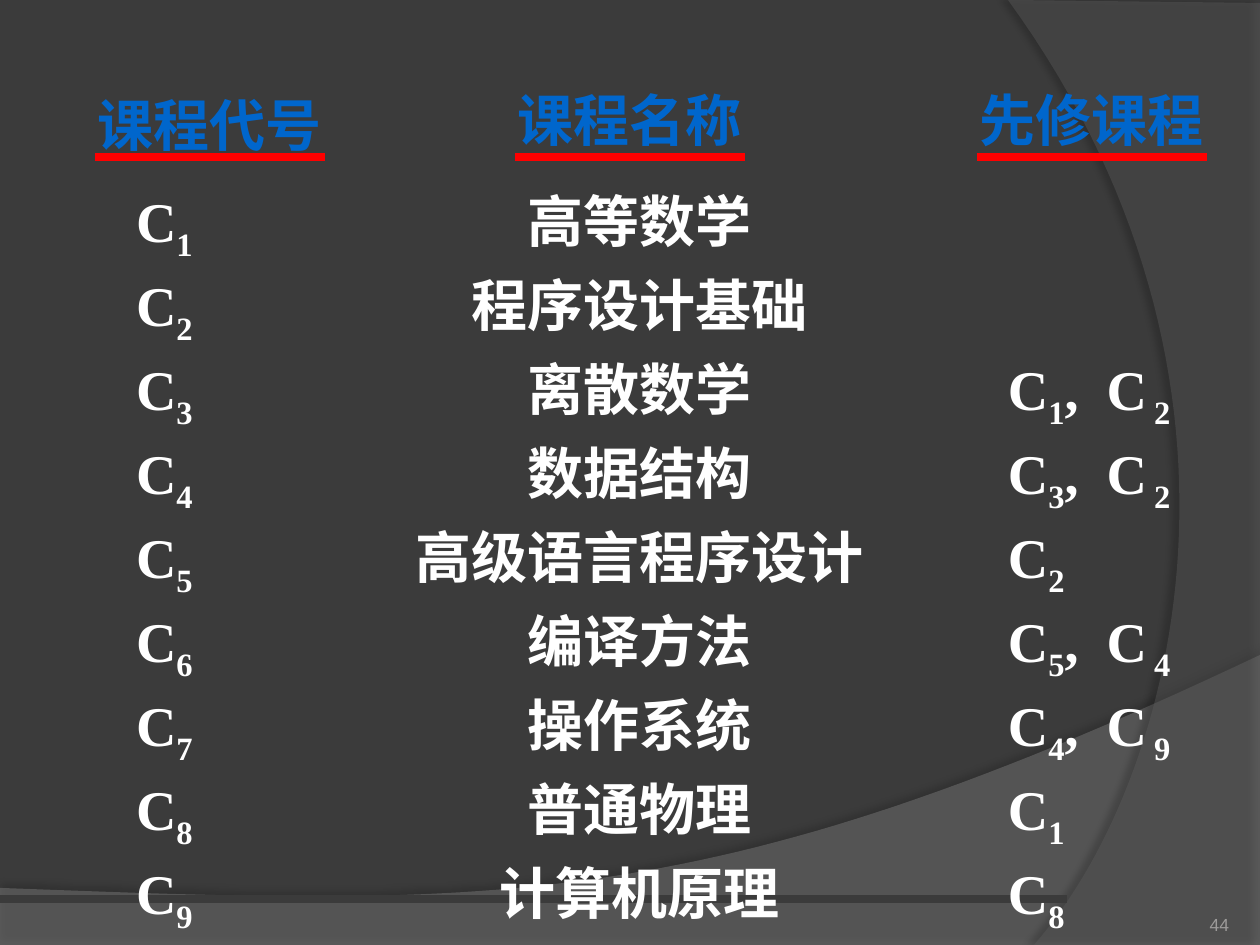
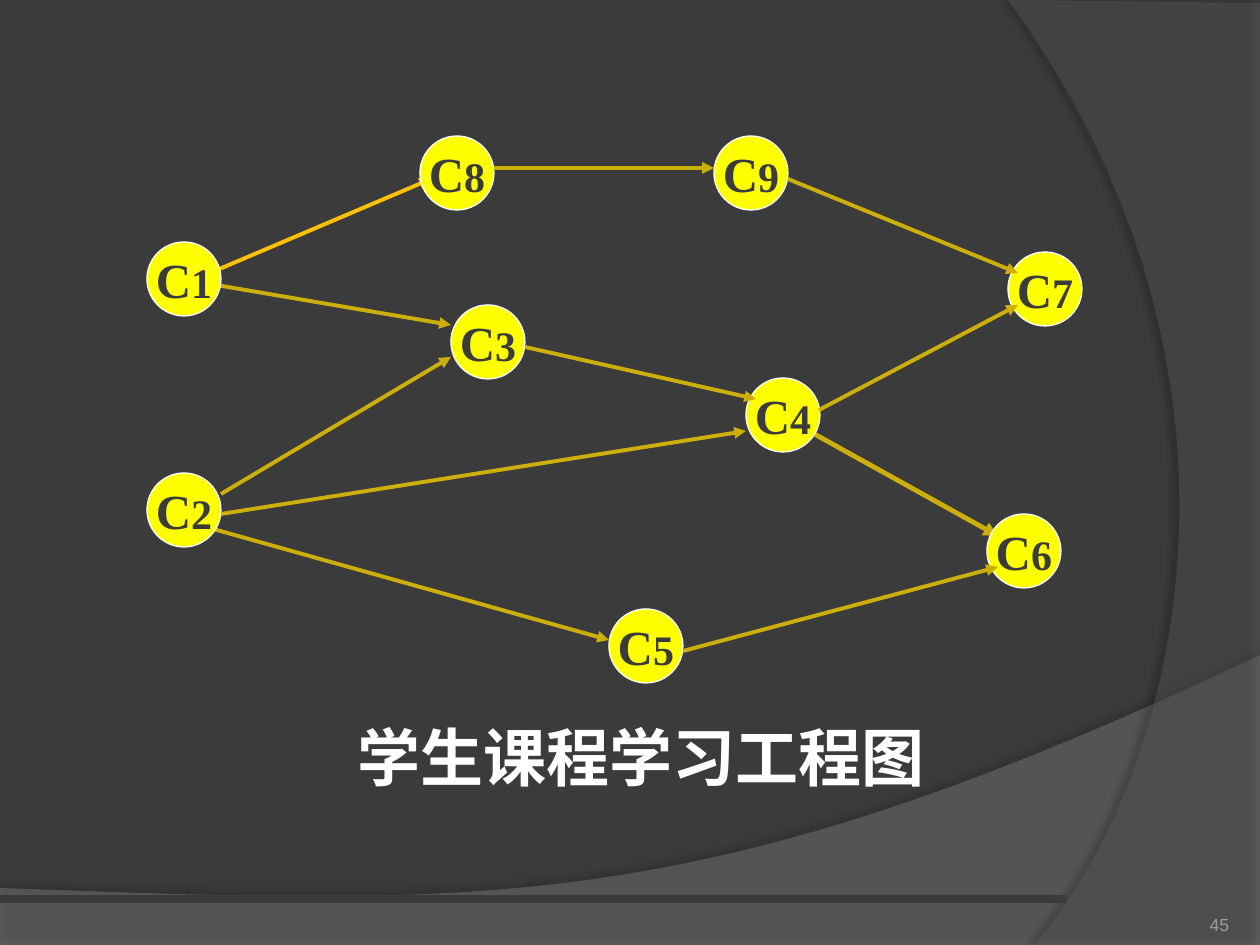
from itertools import groupby

from lxml import etree
from pptx import Presentation, util as u
from pptx.dml.color import RGBColor
from pptx.enum import shapes, text
from pptx.oxml.ns import qn

PX = 7257
SERIF, SANS, CJK = "Times New Roman", "Arial", "Noto Sans CJK SC"
DARK, WHITE, YELLOW = "3B3B3B", "FFFFFF", "FFFF00"
BLUE, RED, GREY = "0066CC", "FF0000", "9D9B9A"
GOLD, AMBER = "CCAF0A", "FFC000"
LEFT, CENTER, RIGHT = text.PP_ALIGN.LEFT, text.PP_ALIGN.CENTER, text.PP_ALIGN.RIGHT
TOP, MIDDLE, BOTTOM = text.MSO_ANCHOR.TOP, text.MSO_ANCHOR.MIDDLE, text.MSO_ANCHOR.BOTTOM
NO_TABLE_STYLE = "{2D5ABB26-0587-4C30-8999-92F81FD0307C}"
rgb = RGBColor.from_string


def write(frame, words, size=32, color=WHITE, font=SERIF, bold=True, align=LEFT,
          anchor=TOP, wrap=False, spacing=None, digit_size=None, subscript=False):
    frame.margin_left = frame.margin_right = frame.margin_top = frame.margin_bottom = 0
    frame.auto_size = text.MSO_AUTO_SIZE.NONE
    frame.word_wrap = wrap
    frame.vertical_anchor = anchor
    para = frame.paragraphs[0]
    para.alignment = align
    if spacing:
        para.line_spacing = u.Pt(spacing)
    for is_digit, letters in groupby(words, str.isdigit):
        span = para.add_run()
        span.text = "".join(letters)
        span.font.size = u.Pt(digit_size if is_digit and digit_size else size)
        span.font.bold = bold
        span.font.color.rgb = rgb(color)
        span.font.name = font
        props = span.font._element if hasattr(span.font, "_element") else span._r.get_or_add_rPr()
        etree.SubElement(props, qn("a:ea")).set("typeface", CJK)
        if subscript and is_digit:
            props.set("baseline", "-25000")
        if "," in span.text:
            props.set("spc", "400")


def draw_line(page, ends, color, width, arrow=False):
    line = page.shapes.add_connector(shapes.MSO_CONNECTOR.STRAIGHT, *(v * PX for v in ends))
    line.line.color.rgb = rgb(color)
    line.line.width = u.Pt(width)
    props = line.element.spPr
    if arrow:
        etree.SubElement(props.find(qn("a:ln")), qn("a:tailEnd")).set("type", "triangle")
    etree.SubElement(props, qn("a:effectLst"))
    return line


deck = Presentation()
deck.slide_width, deck.slide_height = 1260 * PX, 945 * PX
master = deck.slide_master
master.background.fill.solid()
master.background.fill.fore_color.rgb = rgb(DARK)
table_page = deck.slides.add_slide(deck.slide_layouts[6])
graph_page = deck.slides.add_slide(deck.slide_layouts[5])

bands = [
    ([(0, 945), (1260, 945)], [(1260, 655), (704, 919), (493, 906), (0, 888)],
     "7F7F7F", 45, 35, 3.5, 270),
    ([(1260, 3), (1260, 945)], [(1034, 945), (1178, 780), (1283, 378), (1008, 0)],
     "5E5E5E", 40, 45, 4, 180),
]
decorations = []
for corners, curve, color, opacity, shade, distance, angle in bands:
    points = list(corners)
    for step in range(61):
        t = step / 60
        weights = ((1 - t) ** 3, 3 * t * (1 - t) ** 2, 3 * t * t * (1 - t), t ** 3)
        points.append(tuple(sum(w * p[axis] for w, p in zip(weights, curve)) for axis in (0, 1)))
    points = [(x * PX, y * PX) for x, y in points]
    builder = table_page.shapes.build_freeform(*points[0], scale=1.0)
    builder.add_line_segments(points[1:], close=True)
    band = builder.convert_to_shape()
    band.fill.solid()
    band.fill.fore_color.rgb = rgb(color)
    band.line.fill.background()
    band.shadow.inherit = False
    props = band.element.spPr
    tint = props.find(qn("a:solidFill")).find(qn("a:srgbClr"))
    etree.SubElement(tint, qn("a:alpha")).set("val", str(opacity * 1000))
    shadow = etree.SubElement(props.find(qn("a:effectLst")), qn("a:outerShdw"),
                              blurRad=str(u.Pt(4)), dist=str(u.Pt(distance)),
                              dir=str(angle * 60000), algn="ctr", rotWithShape="0")
    black = etree.SubElement(shadow, qn("a:srgbClr"), val="000000")
    etree.SubElement(black, qn("a:alpha")).set("val", str(shade * 1000))
    decorations.append(band)
decorations.append(draw_line(table_page, (0, 899, 1067, 899), DARK, 4.5))
for position, decoration in enumerate(decorations, start=2):
    master.shapes.element.insert(position, decoration.element)

courses = [
    ("C1", "高等数学", ""),
    ("C2", "程序设计基础", ""),
    ("C3", "离散数学", "C1, C2"),
    ("C4", "数据结构", "C3, C2"),
    ("C5", "高级语言程序设计", "C2"),
    ("C6", "编译方法", "C5, C4"),
    ("C7", "操作系统", "C4, C9"),
    ("C8", "普通物理", "C1"),
    ("C9", "计算机原理", "C8"),
]
ROW = 84
columns = [(136, LEFT, 5), (736, CENTER, 0), (200, LEFT, 5)]
holder = table_page.shapes.add_table(len(courses), len(columns), 136 * PX, 185 * PX,
                                     1072 * PX, ROW * len(courses) * PX)
next(holder.element.iter(qn("a:tableStyleId"))).text = NO_TABLE_STYLE
table = holder.table
table.first_row = table.horz_banding = False
for column, (width, align, drop) in zip(table.columns, columns):
    column.width = width * PX
for row, course in zip(table.rows, courses):
    row.height = ROW * PX
    for cell, words, (width, align, drop) in zip(row.cells, course, columns):
        cell.fill.background()
        cell.margin_left = cell.margin_right = cell.margin_bottom = 0
        cell.margin_top = drop * PX
        write(cell.text_frame, words, align=align, wrap=True, spacing=42, subscript=True)

headings = [("课程代号", 210, 91), ("课程名称", 630, 86), ("先修课程", 1092, 86)]
for words, middle, top in headings:
    box = table_page.shapes.add_textbox((middle - 126) * PX, top * PX, 252 * PX, 60 * PX)
    write(box.text_frame, words, color=BLUE, font=CJK, align=CENTER, wrap=True)
    draw_line(table_page, (middle - 115, 157, middle + 115, 157), RED, 4.5)

back_arrows = [
    ((809, 431, 998, 536), GOLD, 2.75),
    ((199, 525, 609, 640), GOLD, 2.25),
    ((221, 494, 451, 357), GOLD, 2.25),
    ((210, 284, 451, 325), GOLD, 2.25),
    ((210, 273, 431, 179), AMBER, 2.25),
]
for ends, color, width in back_arrows:
    draw_line(graph_page, ends, color, width, arrow=True)

nodes = {
    "C8": (420, 136), "C3": (451, 305), "C5": (609, 609),
    "C4": (746, 378), "C9": (714, 136), "C6": (987, 514),
    "C7": (1008, 252), "C1": (147, 242), "C2": (147, 473),
}
for name, (left, top) in nodes.items():
    node = graph_page.shapes.add_shape(shapes.MSO_SHAPE.OVAL, left * PX, top * PX,
                                       74 * PX, 74 * PX)
    node.shadow.inherit = False
    node.fill.solid()
    node.fill.fore_color.rgb = rgb(YELLOW)
    node.line.color.rgb = rgb(WHITE)
    node.line.width = u.Pt(0.75)
    write(node.text_frame, name, size=28, digit_size=24, color=DARK,
          align=CENTER, anchor=MIDDLE)

front_arrows = [
    (494, 168, 714, 168), (525, 347, 756, 399), (221, 514, 746, 431),
    (788, 179, 1018, 273), (819, 410, 1018, 305), (683, 651, 998, 567),
]
for ends in front_arrows:
    draw_line(graph_page, ends, GOLD, 2.25, arrow=True)

title = graph_page.shapes.title
title.left, title.top, title.width, title.height = 346 * PX, 712 * PX, 590 * PX, 88 * PX
write(title.text_frame, "学生课程学习工程图", size=36, align=CENTER, anchor=MIDDLE, wrap=True)

for number, page in enumerate((table_page, graph_page), start=44):
    box = page.shapes.add_textbox(1124 * PX, 885 * PX, 105 * PX, 50 * PX)
    write(box.text_frame, str(number), size=10, color=GREY, font=SANS, bold=False,
          align=RIGHT, anchor=BOTTOM, wrap=True)

deck.save("out.pptx")
